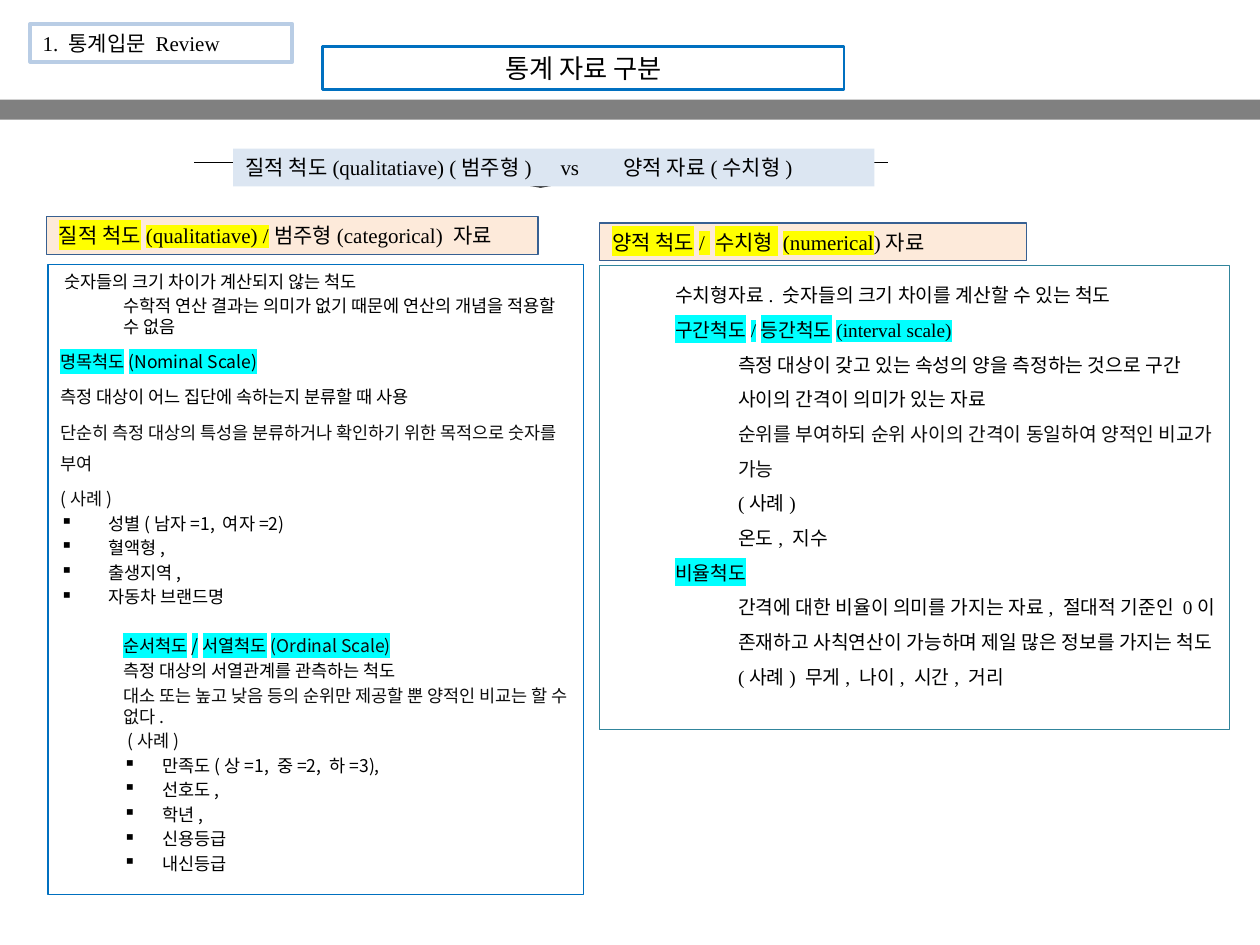
from dataclasses import dataclass
from typing import Optional

import pptx
import pptx.dml.color
import pptx.enum.shapes
import pptx.enum.text
import pptx.oxml
import pptx.oxml.ns
import pptx.util

Inches, Pt = pptx.util.Inches, pptx.util.Pt
SHAPE = pptx.enum.shapes.MSO_SHAPE
ANCHOR = pptx.enum.text.MSO_ANCHOR
ALIGN = pptx.enum.text.PP_ALIGN
qn = pptx.oxml.ns.qn


@dataclass(frozen=True)
class Theme:
    serif: str = "Times New Roman"
    sans: str = "Noto Sans CJK KR"
    black: str = "000000"
    soft: str = "0D0D0D"
    gray: str = "808080"
    blue: str = "0070C0"
    navy: str = "376092"
    teal: str = "31859C"
    pale_blue: str = "DCE6F2"
    light_blue: str = "B9CDE5"
    peach: str = "FDEADA"
    yellow: str = "FFFF00"
    cyan: str = "00FFFF"
    title: float = 15
    heading: float = 12
    body: float = 11
    small: float = 10


T = Theme()


@dataclass(frozen=True)
class Run:
    text: str
    color: str = T.black
    mark: Optional[str] = None


@dataclass(frozen=True)
class Para:
    runs: tuple[Run, ...]
    left: float = 0
    hanging: float = 0
    before: float = 0
    spacing: float = 1
    tabs: tuple[float, ...] = ()


@dataclass(frozen=True)
class Box:
    at: tuple[float, float, float, float]
    paras: tuple[Para, ...] = ()
    size: float = T.heading
    font: str = T.serif
    fill: Optional[str] = None
    line: Optional[str] = None
    width: float = 0.75
    anchor: ANCHOR = ANCHOR.TOP


def rgb(value: str) -> pptx.dml.color.RGBColor:
    return pptx.dml.color.RGBColor.from_string(value)


def place(s, at) -> None:
    s.left, s.top, s.width, s.height = map(Inches, at)


def paint(s, fill: Optional[str], line: Optional[str], width: float) -> None:
    if fill:
        s.fill.solid()
        s.fill.fore_color.rgb = rgb(fill)
    else:
        s.fill.background()
    if line:
        s.line.color.rgb = rgb(line)
        s.line.width = Pt(width)
    else:
        s.line.fill.background()


def add_run(p, run: Run, size: float, font: str) -> None:
    r = p.add_run()
    r.text = run.text
    r.font.size, r.font.name = Pt(size), font
    r.font.color.rgb = rgb(run.color)
    if run.mark:
        mark = pptx.oxml.parse_xml(
            f'<a:highlight {pptx.oxml.ns.nsdecls("a")}><a:srgbClr val="{run.mark}"/></a:highlight>')
        r.font._element.find(qn("a:solidFill")).addnext(mark)


def format_para(p, para: Para) -> None:
    """Set spacing and indents, then the bullet or tab stops."""
    p.alignment = ALIGN.LEFT
    p.line_spacing = para.spacing
    p.space_before = Pt(para.before)
    ppr = p._p.get_or_add_pPr()
    ppr.set("marL", str(Inches(para.left)))
    ppr.set("indent", str(-Inches(para.hanging)))
    if para.hanging:
        ppr.append(ppr.makeelement(qn("a:buChar"), {"char": "▪"}))
    if para.tabs:
        tabs = ppr.makeelement(qn("a:tabLst"), {})
        for pos in para.tabs:
            tabs.append(tabs.makeelement(qn("a:tab"), {"pos": str(Inches(pos)), "algn": "l"}))
        ppr.append(tabs)


def add_box(slide, box: Box):
    s = slide.shapes.add_shape(SHAPE.RECTANGLE, *map(Inches, box.at))
    s.shadow.inherit = False
    paint(s, box.fill, box.line, box.width)
    tf = s.text_frame
    tf.word_wrap, tf.vertical_anchor = True, box.anchor
    for i, para in enumerate(box.paras):
        p = tf.add_paragraph() if i else tf.paragraphs[0]
        format_para(p, para)
        for run in para.runs:
            add_run(p, run, box.size, box.font)
    return s


def add_title(slide, text: str) -> None:
    s = slide.shapes.title
    place(s, (2.56, 0.37, 4.14, 0.34))
    paint(s, None, T.blue, 1.5)
    tf = s.text_frame
    tf.vertical_anchor = ANCHOR.MIDDLE
    tf.margin_left = tf.margin_right = Inches(0.07)
    tf.margin_top = tf.margin_bottom = Inches(0.04)
    p = tf.paragraphs[0]
    p.alignment = ALIGN.CENTER
    add_run(p, Run(text), T.title, T.serif)


def add_banner_backing(slide) -> None:
    line = slide.shapes.add_connector(
        pptx.enum.shapes.MSO_CONNECTOR.STRAIGHT, *map(Inches, (1.54, 1.29, 7.05, 1.29)))
    line.line.color.rgb, line.line.width = rgb(T.black), Pt(1)
    sppr = line._element.spPr
    sppr.append(sppr.makeelement(qn("a:effectLst"), {}))
    s = slide.shapes.add_shape(SHAPE.ISOSCELES_TRIANGLE, *map(Inches, (3.11, 1.29, 2.36, 0.2)))
    s.shadow.inherit = False
    s.rotation = 180
    paint(s, T.black, None, 0)


def small(text: str, left: float = 0, color: str = T.black, mark: Optional[str] = None,
          before: float = 2, spacing: float = 1, hanging: float = 0) -> Para:
    return Para((Run(text, color, mark),), left, hanging, before, spacing)


def wide(text: str, left: float = 1, color: str = T.black, mark: Optional[str] = None) -> Para:
    return Para((Run(text, color, mark),), left, spacing=1.5)


def bullets(left: float, hanging: float, *items: str) -> tuple[Para, ...]:
    return tuple(small(item, left, hanging=hanging) for item in items)


QUALITATIVE = (
    small("숫자들의 크기 차이가 계산되지 않는 척도", 0.03, before=0),
    small("수학적 연산 결과는 의미가 없기 때문에 연산의 개념을 적용할 수 없음", 0.5),
    small("명목척도(Nominal Scale)", mark=T.cyan, spacing=1.5),
    small("측정 대상이 어느 집단에 속하는지 분류할 때 사용", spacing=1.5),
    small("단순히 측정 대상의 특성을 분류하거나 확인하기 위한 목적으로 숫자를 부여",
          color=T.soft, spacing=1.5),
    small("(사례)", color=T.soft, spacing=1.5),
    *bullets(0.38, 0.38, "성별(남자=1, 여자=2)", "혈액형,", "출생지역,", "자동차 브랜드명"),
    Para((Run("순서척도/서열척도", mark=T.cyan), Run("(Ordinal Scale)", T.soft, T.cyan)),
         0.5, before=16),
    small("측정 대상의 서열관계를 관측하는 척도", 0.5),
    small("대소 또는 높고 낮음 등의 순위만 제공할 뿐 양적인 비교는 할 수 없다.", 0.5, T.soft),
    small("(사례)", 0.53, T.soft),
    *bullets(0.81, 0.31, "만족도(상=1, 중=2, 하=3),", "선호도,", "학년,", "신용등급", "내신등급"),
)
QUANTITATIVE = (
    wide("수치형자료. 숫자들의 크기 차이를 계산할 수 있는 척도", 0.5),
    wide("구간척도/등간척도(interval scale)", 0.5, mark=T.cyan),
    wide("측정 대상이 갖고 있는 속성의 양을 측정하는 것으로 구간 사이의 간격이 의미가 있는 자료"),
    wide("순위를 부여하되 순위 사이의 간격이 동일하여 양적인 비교가 가능", color=T.soft),
    wide("(사례)"),
    wide("온도, 지수"),
    wide("비율척도", 0.5, mark=T.cyan),
    wide("간격에 대한 비율이 의미를 가지는 자료, 절대적 기준인 0이 존재하고 "
         "사칙연산이 가능하며 제일 많은 정보를 가지는 척도"),
    wide("(사례) 무게, 나이, 시간, 거리"),
)
BOXES = (
    Box((0, 0.79, 10, 0.16), fill=T.gray),
    Box((0.38, 2.1, 4.25, 5), QUALITATIVE, T.small, T.sans, line=T.blue),
    Box((0.37, 1.72, 3.9, 0.3), (Para((Run("질적 척도(qualitatiave) /", mark=T.yellow),
                                       Run("범주형(categorical) 자료"))),), fill=T.peach, line=T.navy),
    Box((4.76, 2.11, 5, 3.68), QUANTITATIVE, T.body, line=T.teal),
    Box((4.76, 1.77, 3.39, 0.3), (Para((Run("양적 척도/ 수치형 (numerical", mark=T.yellow),
                                        Run(")자료"))),), fill=T.peach, line=T.navy),
    Box((1.85, 1.18, 5.09, 0.3), (Para((Run("질적 척도(qualitatiave) (범주형)\tvs\t양적 자료(수치형)"),),
                                       tabs=(2.44, 2.71)),), fill=T.pale_blue),
    Box((0.24, 0.19, 2.08, 0.3), (Para((Run("1. 통계입문 Review"),)),), line=T.light_blue, width=2.25),
)


def main() -> None:
    prs = pptx.Presentation()
    prs.slide_width, prs.slide_height = Inches(10), Inches(7.5)
    slide = prs.slides.add_slide(prs.slide_layouts[5])
    add_title(slide, "통계 자료 구분")
    add_banner_backing(slide)
    for box in BOXES:
        add_box(slide, box)
    prs.save("out.pptx")


if __name__ == "__main__":
    main()
